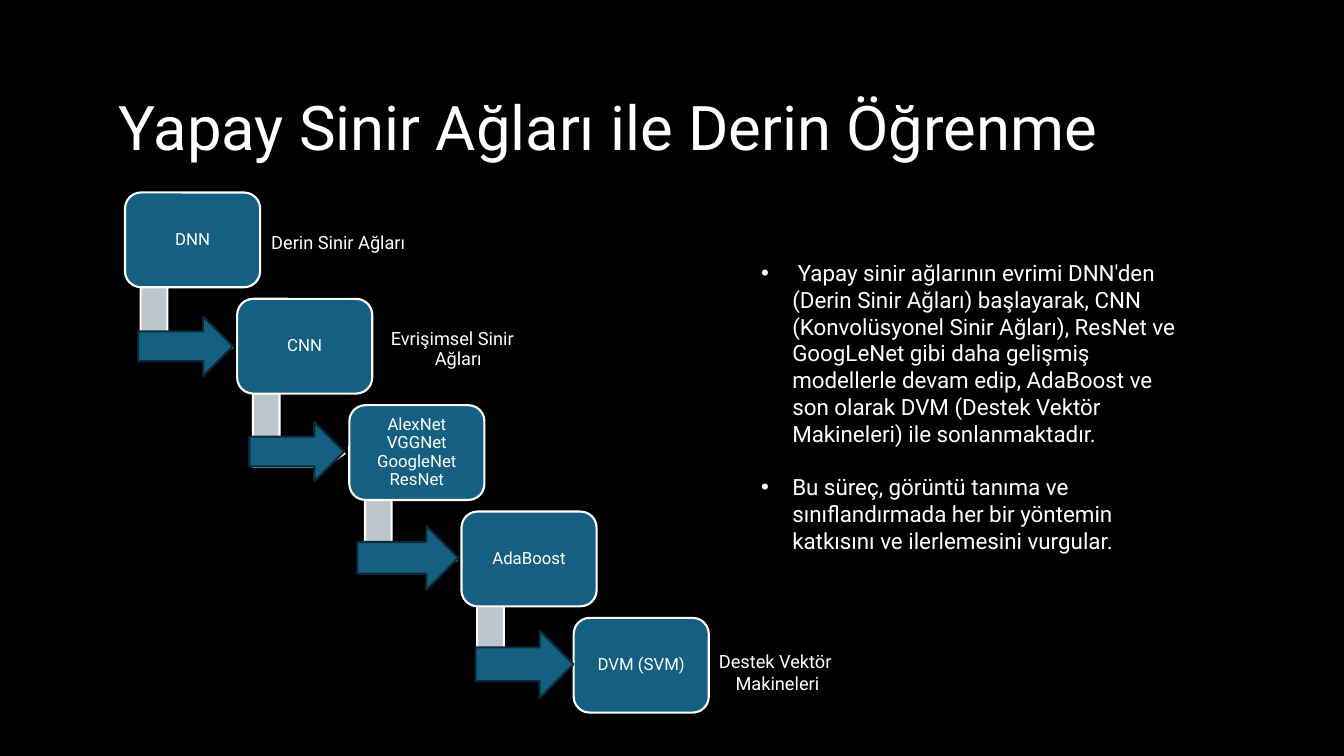
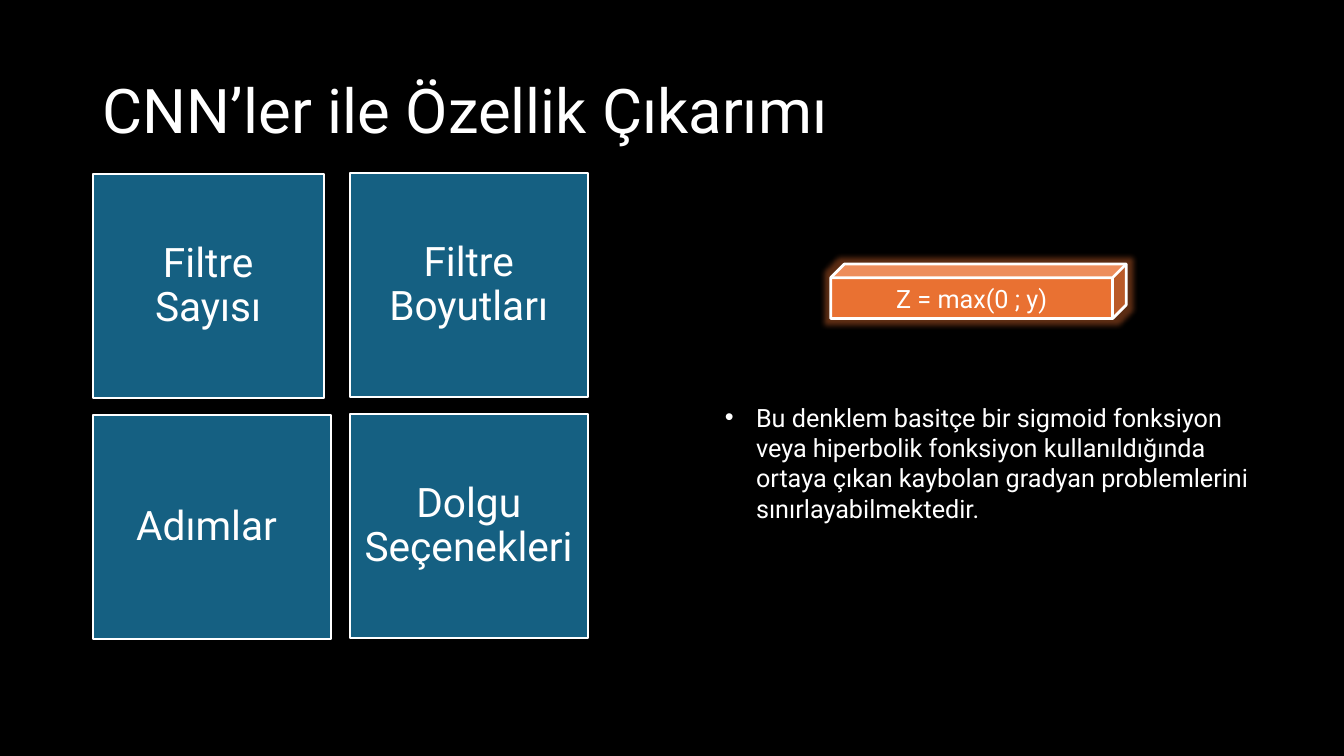
from lxml import etree
from pptx import Presentation
from pptx.dml.color import RGBColor
from pptx.enum.shapes import MSO_SHAPE
from pptx.enum.text import MSO_ANCHOR, MSO_AUTO_SIZE, PP_ALIGN
from pptx.oxml.ns import qn
from pptx.util import Pt

LEFT, CENTER = PP_ALIGN.LEFT, PP_ALIGN.CENTER
TOP, MIDDLE = MSO_ANCHOR.TOP, MSO_ANCHOR.MIDDLE
NO_FIT = MSO_AUTO_SIZE.NONE
RECT, ROUND, CUBE = MSO_SHAPE.RECTANGLE, MSO_SHAPE.ROUNDED_RECTANGLE, MSO_SHAPE.CUBE
ELBOW, ARROW = MSO_SHAPE.BENT_UP_ARROW, MSO_SHAPE.RIGHT_ARROW

EMU_PER_PX = 9144
FONT = "Roboto"
COLORS = {
    "black": "000000",
    "white": "FFFFFF",
    "blue": "156082",
    "navy": "092A39",
    "grey": "BDC5CD",
    "orange": "E97132",
}
TITLE = {"alignment": LEFT, "line_spacing": 0.9}
TIGHT = {"alignment": CENTER, "line_spacing": 0.9}
TIGHT_LEFT = {"alignment": LEFT, "line_spacing": 0.9}
CENTERED = {"alignment": CENTER}
BODY = {"alignment": LEFT}

STEPS = ["DNN", "CNN", "AlexNet VGGNet GoogleNet ResNet", "AdaBoost", "DVM (SVM)"]
STEP_ARROWS = [(13, 123, 94, 59), (12, 122, 94, 59), (8, 120, 100, 63), (14, 118, 97, 67)]
TILES = [
    ("Filtre Sayısı", 0, 1, 229),
    ("Filtre Boyutları", 0, 0, 236),
    ("Adımlar ", 1, 1, 236),
    ("Dolgu Seçenekleri", 1, 0, 236),
]
EVOLUTION = [
    " Yapay sinir ağlarının evrimi DNN'den (Derin Sinir Ağları) başlayarak, CNN "
    "(Konvolüsyonel Sinir Ağları), ResNet ve GoogLeNet gibi daha gelişmiş modellerle "
    "devam edip, AdaBoost ve son olarak DVM (Destek Vektör Makineleri) ile sonlanmaktadır.",
    "Bu süreç, görüntü tanıma ve sınıflandırmada her bir yöntemin katkısını ve "
    "ilerlemesini vurgular.",
]
EQUATION_NOTE = [
    "Bu denklem basitçe bir sigmoid fonksiyon veya hiperbolik fonksiyon "
    "kullanıldığında ortaya çıkan kaybolan gradyan problemlerini sınırlayabilmektedir."
]


def px(n):
    return round(n * EMU_PER_PX)


def rgb(name):
    return RGBColor.from_string(COLORS[name])


def apply(obj, fmt):
    for name, value in fmt.items():
        setattr(obj, name, value)


def set_indent(p, hang, bullet):
    pPr = p._p.get_or_add_pPr()
    pPr.set("marL", str(px(hang)))
    pPr.set("indent", str(-px(hang)))
    if bullet:
        etree.SubElement(pPr, qn("a:buFont")).set("typeface", "Arial")
        etree.SubElement(pPr, qn("a:buChar")).set("char", "•")


def write(sp, texts, size, para, anchor=MIDDLE, inset=(10, 5), hang=0, bullet=False):
    tf = sp.text_frame
    side, end = (px(n) for n in inset)
    apply(tf, {
        "word_wrap": True, "auto_size": NO_FIT, "vertical_anchor": anchor,
        "margin_left": side, "margin_right": side, "margin_top": end, "margin_bottom": end,
    })
    for i, text in enumerate(texts):
        p = tf.add_paragraph() if i else tf.paragraphs[0]
        apply(p, para)
        if hang:
            set_indent(p, hang, bullet)
        r = p.add_run()
        r.text = text
        apply(r.font, {"name": FONT, "size": Pt(size)})
        r.font.color.rgb = rgb("white")


def add_text(s, box, texts, size, para, **kw):
    sp = s.shapes.add_textbox(*map(px, box))
    write(sp, texts, size, para, **kw)


def add_shape(s, kind, box, fill, line, width=1.5, adj=()):
    sp = s.shapes.add_shape(kind, *map(px, box))
    sp.shadow.inherit = False
    sp.fill.solid()
    sp.fill.fore_color.rgb = rgb(fill)
    sp.line.color.rgb = rgb(line)
    sp.line.width = Pt(width)
    for i, value in enumerate(adj):
        sp.adjustments[i] = value
    return sp


def add_glow(sp, color, radius, alpha):
    effects = sp._element.spPr.find(qn("a:effectLst"))
    glow = etree.SubElement(effects, qn("a:glow"))
    glow.set("rad", str(px(radius)))
    clr = etree.SubElement(glow, qn("a:srgbClr"))
    clr.set("val", COLORS[color])
    etree.SubElement(clr, qn("a:alpha")).set("val", str(alpha * 1000))


def add_titled_slide(prs, title, left, top):
    s = prs.slides.add_slide(prs.slide_layouts[5])
    sp = s.shapes.title
    apply(sp, {"left": px(left), "top": px(top), "width": px(1150), "height": px(145)})
    write(sp, [title], 44, TITLE)
    return s


def add_staircase(s, box):
    x, y, w, h = box
    step_w, step_h = 134, 94
    dx = (w - step_w) / (len(STEPS) - 1)
    dy = (h - step_h) / (len(STEPS) - 1)
    corners = [(x + i * dx, y + i * dy) for i in range(len(STEPS))]
    for i, (text, (left, top)) in enumerate(zip(STEPS, corners)):
        if i < len(STEP_ARROWS):
            sp = add_shape(s, ELBOW, (left + 21, top + 88, 80, 91), "grey", "white",
                           adj=(0.33, 0.25, 0.36))
            sp.rotation = 90
        sp = add_shape(s, ROUND, (left, top, step_w, step_h), "blue", "white", adj=(0.17,))
        write(sp, [text], 12, TIGHT, inset=(5, 5))
    for (left, top), (ax, ay, aw, ah) in zip(corners, STEP_ARROWS):
        add_shape(s, ARROW, (left + ax, top + ay, aw, ah), "blue", "navy")
    add_text(s, (x + 140, y + 13, 192, 76), ["Derin Sinir Ağları"], 13, TIGHT_LEFT,
             inset=(5, 5), hang=12)
    add_text(s, (x + 242, y + 118, 165, 76), ["Evrişimsel Sinir Ağları"], 13, TIGHT,
             inset=(5, 5), hang=12)
    add_text(s, (x + 531, y + 449, 232, 54), ["Destek Vektör ", "Makineleri"], 13, CENTERED,
             anchor=TOP)


def add_evolution_notes(s, box):
    sp = add_shape(s, RECT, box, "black", "black")
    write(sp, EVOLUTION, 16, {**BODY, "space_after": Pt(19)}, anchor=TOP, hang=31, bullet=True)


def add_tiles(s, box):
    x, y, w, h = box
    tile_w, tile_h = 236, 222
    for i, (text, row, shift, width) in enumerate(TILES):
        left = x + i % 2 * (w - tile_w)
        top = y + row * (h - tile_h) + shift
        sp = add_shape(s, RECT, (left, top, width, tile_h), "blue", "white")
        write(sp, [text], 29, TIGHT, inset=(12, 12))


def add_equation(s, box):
    x, y, w, h = box
    sp = add_shape(s, CUBE, (x + 115, y, 293, 54), "orange", "white", 2)
    add_glow(sp, "orange", 11, 40)
    write(sp, ["Z = max(0 ; y)"], 18, CENTERED)
    add_text(s, (x, y + 132, w, h - 132), EQUATION_NOTE, 18, BODY, anchor=TOP,
             hang=31, bullet=True)


def build_networks(prs):
    s = add_titled_slide(prs, "Yapay Sinir Ağları ile Derin Öğrenme", 108, 57)
    add_evolution_notes(s, (745, 252, 434, 337))
    add_staircase(s, (124, 191, 579, 516))


def build_features(prs):
    s = add_titled_slide(prs, "CNN’ler ile Özellik Çıkarımı", 92, 40)
    add_tiles(s, (92, 172, 491, 461))
    add_equation(s, (709, 262, 545, 263))


def main():
    prs = Presentation()
    apply(prs, {"slide_width": px(1333), "slide_height": px(750)})
    fill = prs.slide_master.background.fill
    fill.solid()
    fill.fore_color.rgb = rgb("black")
    build_networks(prs)
    build_features(prs)
    prs.save("out.pptx")


if __name__ == "__main__":
    main()
